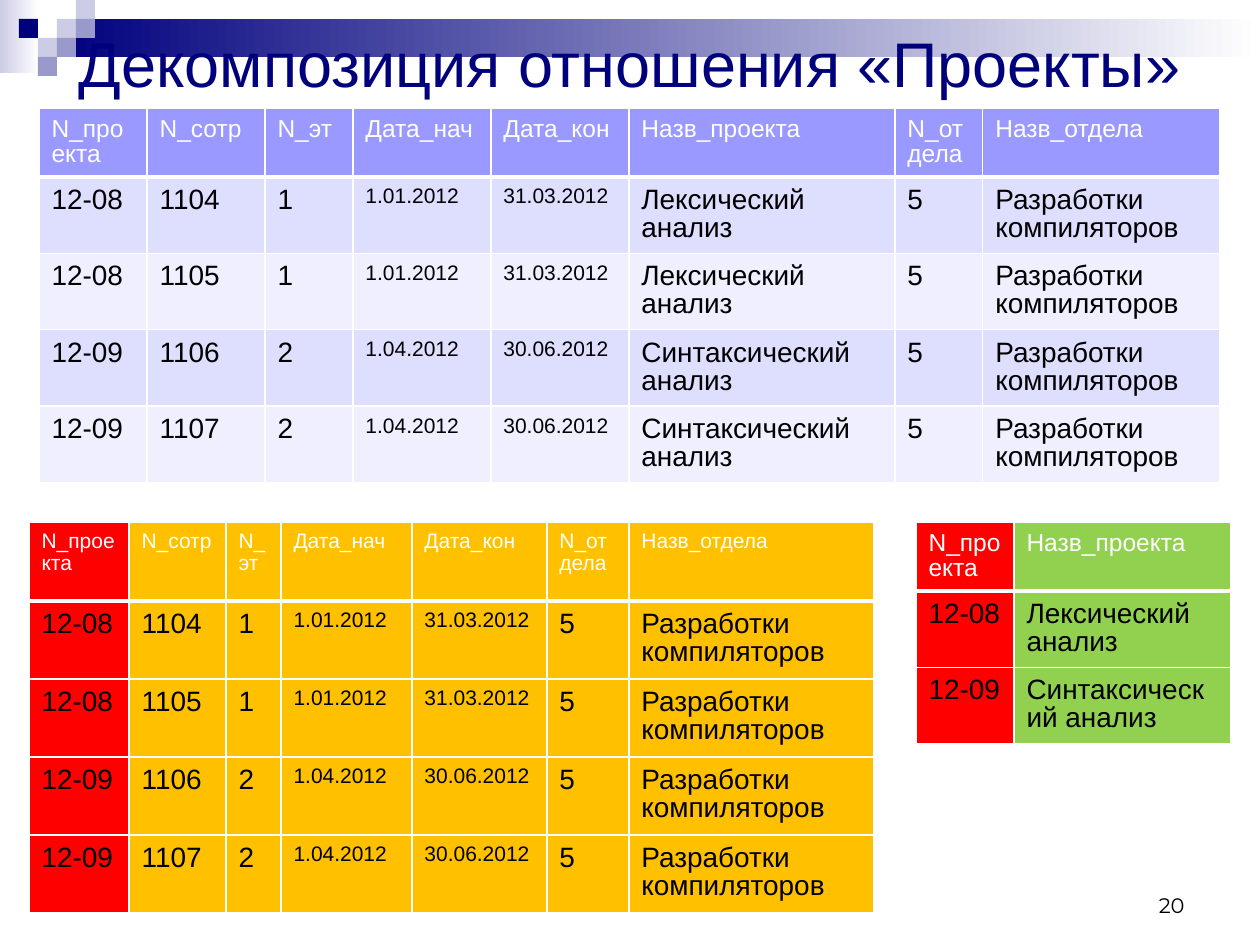
"""Build the slide on decomposing the «Проекты» relation into two tables."""
from dataclasses import dataclass

from lxml.etree import SubElement
from pptx import Presentation
from pptx.dml.color import RGBColor
from pptx.enum.shapes import MSO_SHAPE
from pptx.enum.text import MSO_ANCHOR, PP_ALIGN
from pptx.oxml.ns import qn
from pptx.util import Pt

EMU_PER_PX = 914400 / 126


@dataclass(frozen=True)
class Theme:
    navy: str = "00007D"
    lavender: str = "CCCCE6"
    violet: str = "9999CC"
    white: str = "FFFFFF"
    black: str = "000000"
    header: str = "9999FF"
    odd_row: str = "DEDEFF"
    even_row: str = "EFEFFF"
    key: str = "FF0000"
    task: str = "FFC000"
    project: str = "92D050"
    font: str = "Arial"
    number_font: str = "Montserrat"
    title_size: int = 36
    body_size: int = 16
    header_size: int = 14
    small_size: int = 12
    thin_line: int = 1
    thick_line: int = 3


def px(length):
    return round(length * EMU_PER_PX)


def set_values(target, values):
    for name, value in values.items():
        setattr(target, name, value)


class SlideBuilder:
    def __init__(self, slide, theme):
        self.slide = slide
        self.theme = theme

    def rectangle(self, bounds, color, end_color=None):
        box = self.slide.shapes.add_shape(MSO_SHAPE.RECTANGLE, *map(px, bounds))
        box.shadow.inherit = False
        box.line.fill.background()
        if end_color is None:
            box.fill.solid()
            box.fill.fore_color.rgb = RGBColor.from_string(color)
            return
        box.fill.gradient()
        box.fill.gradient_angle = 0
        for stop, shade in zip(box.fill.gradient_stops, (color, end_color)):
            stop.color.rgb = RGBColor.from_string(shade)

    def fill_text(self, frame, text, size, color, font=None, **format_values):
        para = frame.paragraphs[0]
        set_values(para, format_values)
        span = para.add_run()
        span.text = text
        set_values(span.font, {"size": Pt(size), "name": font or self.theme.font})
        span.font.color.rgb = RGBColor.from_string(color)

    def text(self, bounds, text, size, color, anchor, alignment, font=None):
        frame = self.slide.shapes.add_textbox(*map(px, bounds)).text_frame
        set_values(frame, {"word_wrap": True, "vertical_anchor": anchor})
        self.fill_text(frame, text, size, color, font, alignment=alignment)

    def border(self, cell, widths):
        properties = cell._tc.get_or_add_tcPr()
        for index, (side, width) in enumerate(widths.items()):
            line = SubElement(properties, qn(f"a:ln{side}"), w=str(Pt(width)))
            properties.remove(line)
            properties.insert(index, line)
            fill = SubElement(line, qn("a:solidFill"))
            SubElement(fill, qn("a:srgbClr"), val=self.theme.white)

    def table(self, corner, widths, heights, rows, fill_of, header_size):
        theme = self.theme
        bounds = (*corner, sum(widths), sum(heights))
        table = self.slide.shapes.add_table(len(rows), len(widths), *map(px, bounds)).table
        for column, width in zip(table.columns, widths):
            column.width = px(width)
        for row, height in zip(table.rows, heights):
            row.height = px(height)
        for row_index, row in enumerate(rows):
            for column_index, text in enumerate(row):
                cell = table.cell(row_index, column_index)
                set_values(cell, {"margin_top": px(10), "margin_bottom": px(6)})
                cell.fill.solid()
                cell.fill.fore_color.rgb = RGBColor.from_string(fill_of(row_index, column_index))
                if row_index == 0:
                    size, color = header_size, theme.white
                else:
                    is_date = rows[0][column_index].startswith("Дата")
                    size = theme.small_size if is_date else theme.body_size
                    color = theme.black
                self.fill_text(cell.text_frame, text, size, color, line_spacing=0.9)
                self.border(cell, {
                    "L": theme.thin_line,
                    "R": theme.thin_line,
                    "T": theme.thick_line if row_index == 1 else theme.thin_line,
                    "B": theme.thick_line if row_index == 0 else theme.thin_line,
                })


FIELDS = ("N_проекта", "N_сотр", "N_эт", "Дата_нач", "Дата_кон",
          "Назв_проекта", "N_отдела", "Назв_отдела")
STAGES = {
    "1": ("12-08", "1.01.2012", "31.03.2012", "Лексический анализ"),
    "2": ("12-09", "1.04.2012", "30.06.2012", "Синтаксический анализ"),
}
ASSIGNMENTS = (("1104", "1"), ("1105", "1"), ("1106", "2"), ("1107", "2"))


def relation():
    rows = [FIELDS]
    for employee, stage in ASSIGNMENTS:
        project, start, finish, name = STAGES[stage]
        rows.append((project, employee, stage, start, finish, name, "5", "Разработки компиляторов"))
    return rows


def projection(rows, columns):
    return list(dict.fromkeys(tuple(row[column] for column in columns) for row in rows))


def draw_corner(builder):
    theme = builder.theme
    unit = 19
    builder.rectangle((0, 0, 39, 73), theme.lavender, theme.white)
    builder.rectangle((57, unit, 1203, 2 * unit), theme.navy, theme.white)
    squares = (
        (3, 1, theme.lavender), (4, 0, theme.lavender), (4, 1, theme.violet),
        (2, 2, theme.lavender), (1, 1, theme.navy), (3, 2, theme.violet),
        (2, 3, theme.violet),
    )
    for column, row, color in squares:
        builder.rectangle((column * unit, row * unit, unit, unit), color)


def main():
    theme = Theme()
    deck = Presentation()
    set_values(deck, {"slide_width": px(1260), "slide_height": px(945)})
    builder = SlideBuilder(deck.slides.add_slide(deck.slide_layouts[6]), theme)
    draw_corner(builder)
    builder.text((63, 29, 1134, 66), "Декомпозиция отношения «Проекты»", theme.title_size,
                 theme.navy, MSO_ANCHOR.MIDDLE, PP_ALIGN.CENTER)

    def banded(row, column):
        return (theme.header, theme.odd_row, theme.even_row)[0 if row == 0 else 2 - row % 2]

    def keyed(color):
        return lambda row, column: theme.key if column == 0 else color

    rows = relation()
    builder.table((39, 108), (108, 118, 88, 138, 138, 266, 88, 237), (68, *[75] * 4),
                  rows, banded, theme.header_size)
    builder.table((916, 522), (98, 217), (67, 75, 75),
                  projection(rows, (0, 5)), keyed(theme.project), theme.header_size)
    builder.table((29, 522), (100, 97, 55, 131, 135, 82, 245), (79, *[78] * 4),
                  projection(rows, (0, 1, 2, 3, 4, 6, 7)), keyed(theme.task), theme.small_size)
    builder.text((903, 861, 294, 63), "20", theme.small_size, theme.black,
                 MSO_ANCHOR.BOTTOM, PP_ALIGN.RIGHT, theme.number_font)
    deck.save("out.pptx")


if __name__ == "__main__":
    main()
